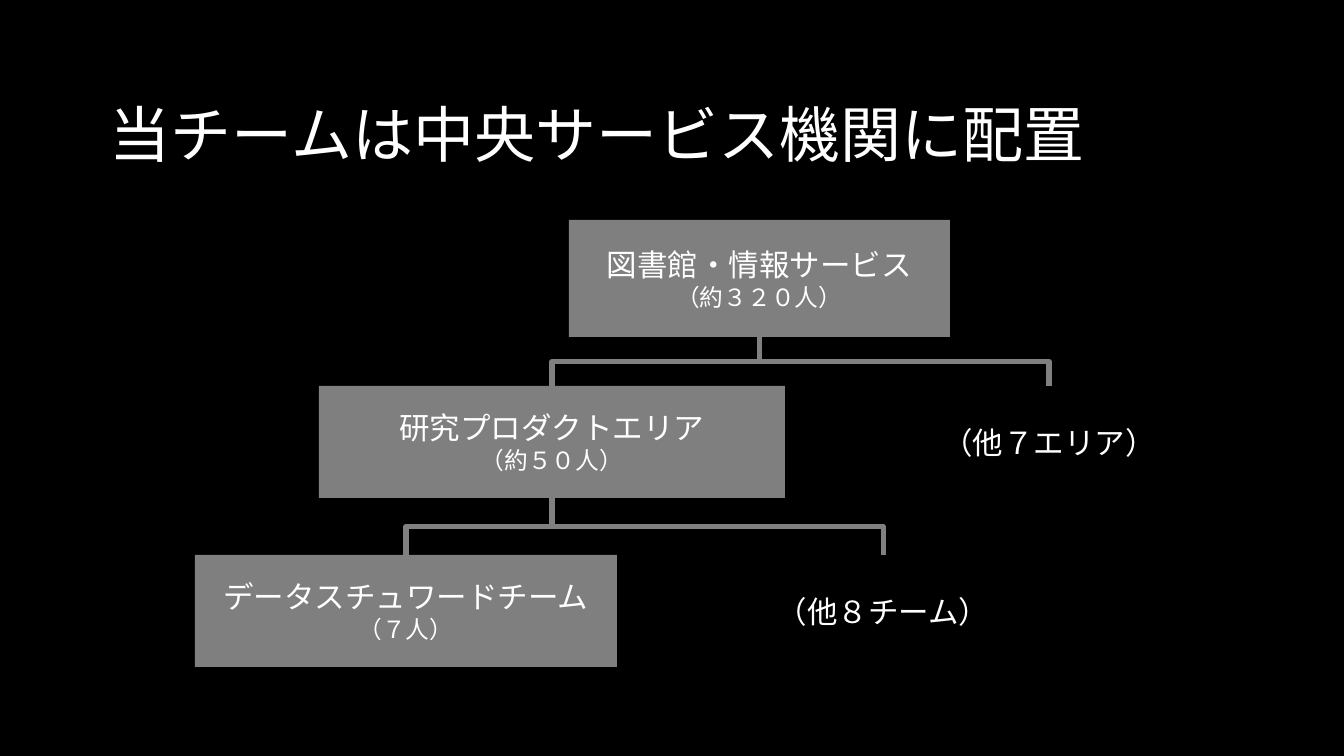
"""Build an organisation chart slide showing where the team sits."""
from dataclasses import dataclass

from lxml.etree import SubElement
from pptx import Presentation
from pptx.dml.color import RGBColor
from pptx.enum.shapes import MSO_CONNECTOR, MSO_SHAPE
from pptx.enum.text import MSO_ANCHOR, PP_ALIGN
from pptx.oxml.ns import qn
from pptx.shapes.autoshape import Shape
from pptx.shapes.shapetree import SlideShapes
from pptx.util import Emu, Pt

EMU_PER_PX = 914400 / 122
FONT = "Noto Sans CJK JP"
COLORS = {"background": "000000", "text": "FFFFFF", "unit": "7F7F7F", "branch": "808080"}


@dataclass(frozen=True)
class Unit:
    key: str
    left: int
    top: int
    width: int
    height: int
    name: str
    headcount: str = ""
    parent: str = ""


UNITS = [
    Unit("services", 569, 220, 381, 117, "図書館・情報サービス", "（約３２０人）"),
    Unit("research", 319, 386, 466, 112, "研究プロダクトエリア", "（約５０人）", "services"),
    Unit("stewards", 195, 555, 422, 112, "データスチュワードチーム", "（７人）", "research"),
    Unit("other_areas", 816, 386, 466, 112, "（他７エリア）", parent="services"),
    Unit("other_teams", 672, 555, 422, 112, "（他８チーム）", parent="research"),
]


def px(length: float) -> Emu:
    return Emu(round(length * EMU_PER_PX))


def color(key: str) -> RGBColor:
    return RGBColor.from_string(COLORS[key])


def write(box: Shape, lines: list[tuple[str, int]], align: PP_ALIGN) -> None:
    frame = box.text_frame
    frame.word_wrap = True
    frame.vertical_anchor = MSO_ANCHOR.MIDDLE
    for index, (text, size) in enumerate(lines):
        paragraph = frame.add_paragraph() if index else frame.paragraphs[0]
        paragraph.alignment = align
        run = paragraph.add_run()
        run.text = text
        run.font.size = Pt(size)
        run.font.name = FONT
        run.font.color.rgb = color("text")
        SubElement(run.font._element, qn("a:ea")).set("typeface", FONT)


def draw_unit(shapes: SlideShapes, unit: Unit) -> Shape:
    place = [px(n) for n in (unit.left, unit.top, unit.width, unit.height)]
    lines = [(unit.name, 18)]
    if unit.headcount:
        box = shapes.add_shape(MSO_SHAPE.RECTANGLE, *place)
        box.shadow.inherit = False
        box.fill.solid()
        box.fill.fore_color.rgb = color("unit")
        box.line.fill.background()
        lines.append((unit.headcount, 14))
    else:
        box = shapes.add_textbox(*place)
    write(box, lines, PP_ALIGN.CENTER)
    return box


def draw_branch(shapes: SlideShapes, parent: Shape, child: Shape) -> None:
    start_x = parent.left + parent.width // 2
    start_y = parent.top + parent.height
    end_x = child.left + child.width // 2
    drop, reach = child.top - start_y, abs(end_x - start_x)
    branch = shapes.add_connector(MSO_CONNECTOR.ELBOW, start_x, start_y, end_x, child.top)
    branch.begin_connect(parent, 2)
    branch.end_connect(child, 0)
    branch.left = Emu((start_x + end_x - drop) // 2)
    branch.top = Emu((start_y + child.top - reach) // 2)
    branch.width, branch.height = Emu(drop), Emu(reach)
    properties = branch._element.spPr
    to_right = end_x > start_x
    turn = properties.find(qn("a:xfrm"))
    turn.set("rot", "16200000" if to_right else "5400000")
    turn.set("flipH", "1" if to_right else "0")
    turn.set("flipV", "0")
    branch.line.color.rgb = color("branch")
    branch.line.width = Pt(3)
    SubElement(properties, qn("a:effectLst"))


def main() -> None:
    deck = Presentation()
    deck.slide_width, deck.slide_height = px(1344), px(756)
    slide = deck.slides.add_slide(deck.slide_layouts[6])
    slide.background.fill.solid()
    slide.background.fill.fore_color.rgb = color("background")
    title = slide.shapes.add_textbox(px(98), px(49), px(1148), px(168))
    write(title, [("当チームは中央サービス機関に配置", 36)], PP_ALIGN.LEFT)
    boxes = {unit.key: draw_unit(slide.shapes, unit) for unit in UNITS}
    for unit in UNITS:
        if unit.parent:
            draw_branch(slide.shapes, boxes[unit.parent], boxes[unit.key])
    deck.save("out.pptx")


if __name__ == "__main__":
    main()
